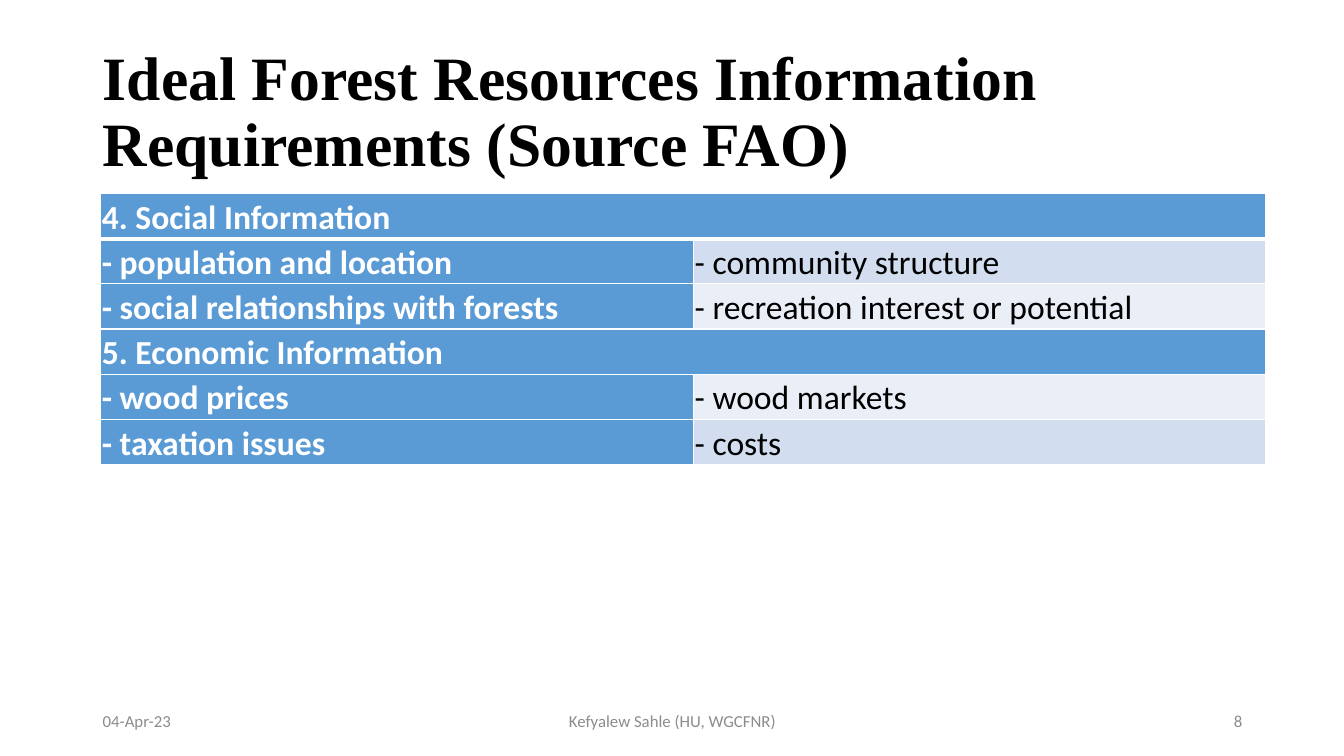
import pptx
import pptx.util
import pptx.dml.color
import pptx.enum.text
import pptx.oxml
import pptx.oxml.ns

Inches = pptx.util.Inches
Pt = pptx.util.Pt
ALIGN = pptx.enum.text.PP_ALIGN
MIDDLE = pptx.enum.text.MSO_ANCHOR.MIDDLE

COLORS = {
    "heading": "5B9BD5",
    "band_dark": "D2DEEF",
    "band_light": "EAEFF7",
    "white": "FFFFFF",
    "black": "000000",
    "footer": "8C8C8C",
}


def write_text(frame, text, color, font_format, paragraph_format):
    frame.word_wrap = True
    para = frame.paragraphs[0]
    for name, value in paragraph_format.items():
        setattr(para, name, value)
    span = para.add_run()
    span.text = text
    for name, value in font_format.items():
        setattr(span.font, name, value)
    span.font.color.rgb = pptx.dml.color.RGBColor.from_string(COLORS[color])


def add_border(cell, side, width):
    line = pptx.oxml.parse_xml(
        f'<a:{side} {pptx.oxml.ns.nsdecls("a")} w="{Pt(width)}"><a:solidFill>'
        f'<a:srgbClr val="{COLORS["white"]}"/></a:solidFill></a:{side}>'
    )
    cell._tc.get_or_add_tcPr().append(line)


deck = pptx.Presentation()
deck.slide_width = Inches(13.33)
deck.slide_height = Inches(7.5)
page = deck.slides.add_slide(deck.slide_layouts[5])

title = page.shapes.title
title_place = {"left": 0.92, "top": 0.4, "width": 11.5, "height": 1.45}
for name, value in title_place.items():
    setattr(title, name, Inches(value))
title.text_frame.vertical_anchor = MIDDLE
title.text_frame.auto_size = pptx.enum.text.MSO_AUTO_SIZE.NONE
write_text(
    title.text_frame,
    "Ideal Forest Resources Information Requirements (Source FAO)",
    "black",
    {"name": "Times New Roman", "size": Pt(44), "bold": True},
    {"alignment": ALIGN.LEFT, "line_spacing": 0.9},
)

footers = [
    ("04-Apr-23", 0.92, 3, ALIGN.LEFT),
    ("Kefyalew Sahle (HU, WGCFNR)", 4.42, 4.5, ALIGN.CENTER),
    ("8", 9.42, 3, ALIGN.RIGHT),
]
for text, left, width, alignment in footers:
    box = page.shapes.add_textbox(Inches(left), Inches(6.95), Inches(width), Inches(0.4))
    box.text_frame.vertical_anchor = MIDDLE
    write_text(
        box.text_frame, text, "footer",
        {"name": "Calibri", "size": Pt(12)}, {"alignment": alignment},
    )

requirements = [
    ["4. Social Information"],
    ["- population and location", "- community structure"],
    ["- social relationships with forests", "- recreation interest or potential"],
    ["5. Economic Information"],
    ["- wood prices", "- wood markets"],
    ["- taxation issues", "- costs"],
]
column_widths = [5.88, 5.67]
row_height = 0.43
table = page.shapes.add_table(
    len(requirements), len(column_widths), Inches(1), Inches(1.92),
    Inches(sum(column_widths)), Inches(row_height * len(requirements)),
).table
for column, width in zip(table.columns, column_widths):
    column.width = Inches(width)

cell_margins = ["margin_left", "margin_right", "margin_top", "margin_bottom"]
cell_paragraph = {
    "alignment": ALIGN.JUSTIFY, "line_spacing": 1.07, "space_after": Pt(6),
}
for row_index, texts in enumerate(requirements):
    table.rows[row_index].height = Inches(row_height)
    if len(texts) == 1:
        table.cell(row_index, 0).merge(table.cell(row_index, 1))
    band = "band_dark" if row_index % 2 else "band_light"
    border_widths = {
        "lnL": 1, "lnR": 1,
        "lnT": 3 if row_index == 1 else 1,
        "lnB": 3 if row_index == 0 else 1,
    }
    for column_index in range(len(column_widths)):
        cell = table.cell(row_index, column_index)
        for name in cell_margins:
            setattr(cell, name, Inches(0.01))
        for side, width in border_widths.items():
            add_border(cell, side, width)
        is_heading = column_index == 0 or len(texts) == 1
        cell.fill.solid()
        cell.fill.fore_color.rgb = pptx.dml.color.RGBColor.from_string(
            COLORS["heading" if is_heading else band]
        )
        if column_index < len(texts):
            write_text(
                cell.text_frame, texts[column_index],
                "white" if is_heading else "black",
                {"name": "Calibri", "size": Pt(24), "bold": is_heading},
                cell_paragraph,
            )

deck.save("out.pptx")
